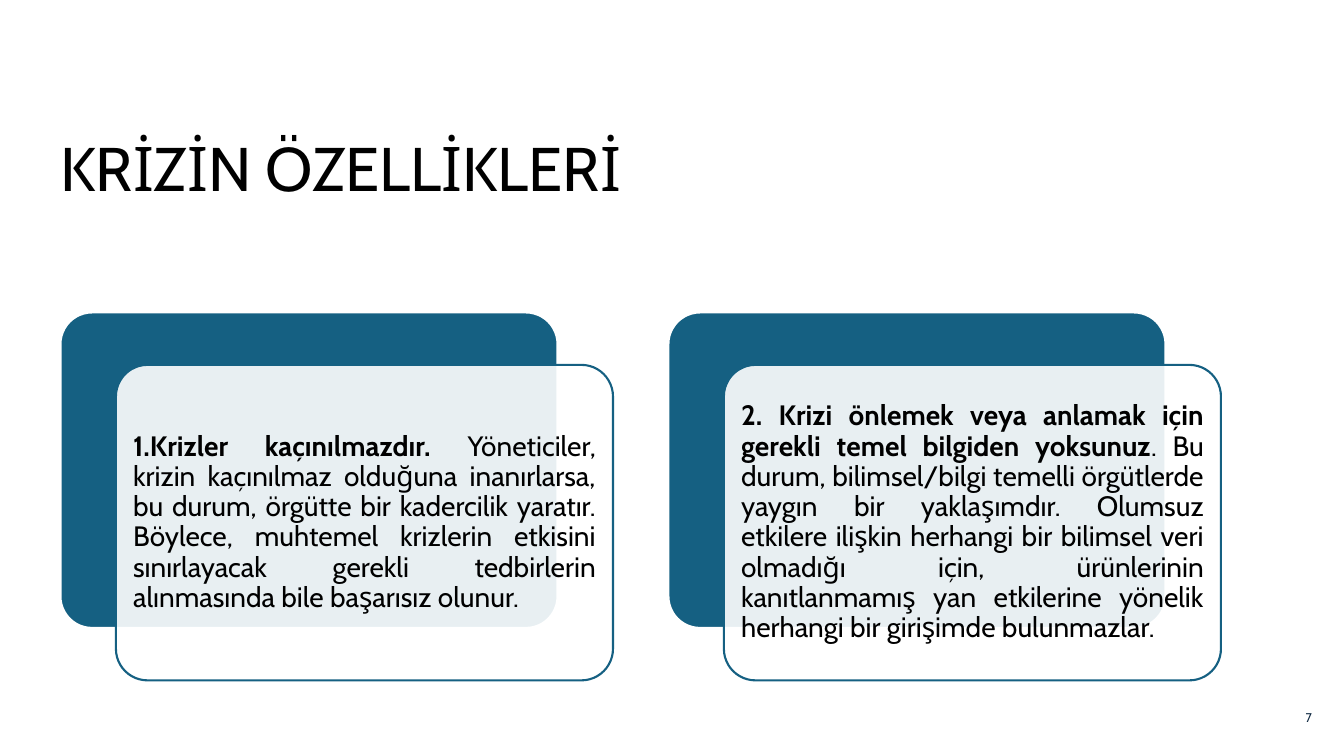
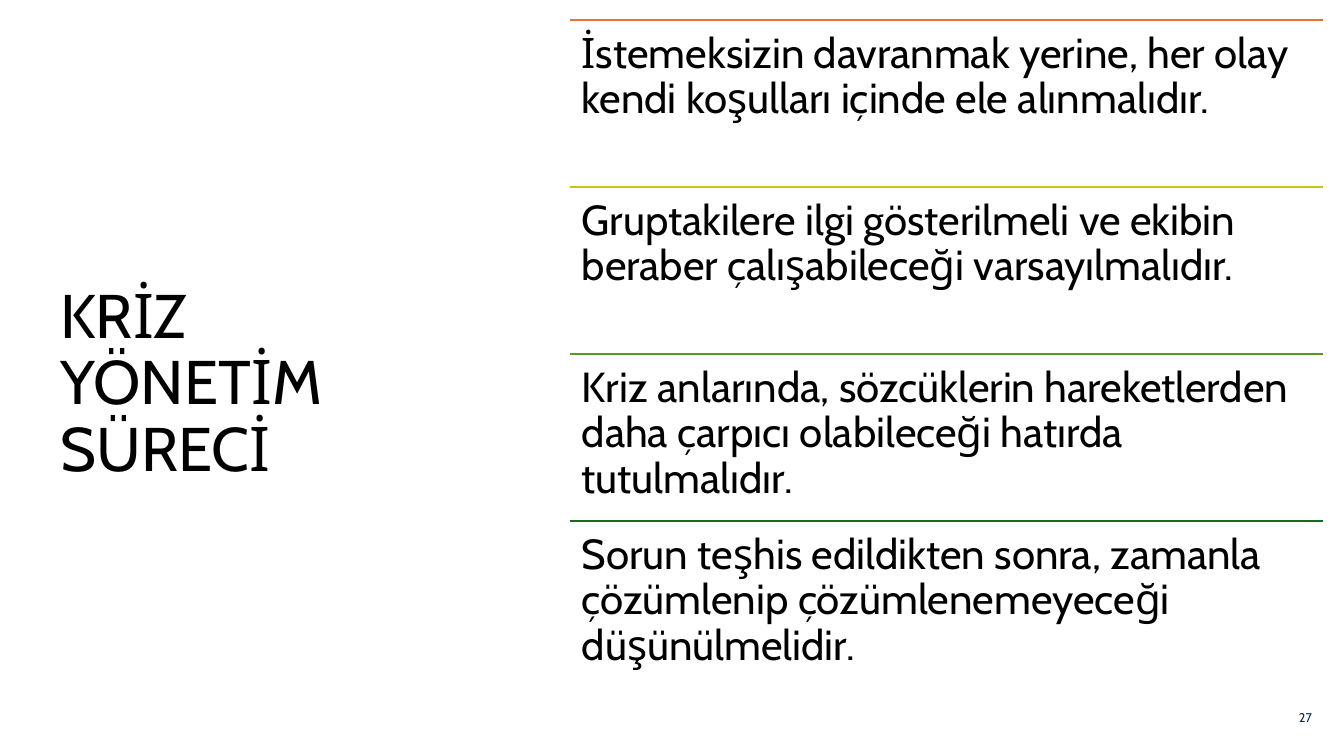
"""Build two slides on the features of a crisis and the crisis management process."""
from dataclasses import dataclass
from typing import NamedTuple

from lxml.etree import SubElement
from pptx import Presentation
from pptx.dml.color import RGBColor
from pptx.enum.shapes import MSO_CONNECTOR, MSO_SHAPE
from pptx.enum.text import MSO_ANCHOR as Anchor, PP_ALIGN as Align
from pptx.oxml.ns import qn
from pptx.util import Inches, Pt


@dataclass(frozen=True)
class Theme:
    """Colours, type sizes and line width shared by the slides."""
    font: str = "Cabin"
    text: str = "000000"
    number: str = "0E2841"
    panel: str = "156082"
    paper: str = "FFFFFF"
    title_size: int = 44
    card_size: int = 20
    row_size: int = 30
    number_size: int = 9
    line_width: float = 1.5
    line_spacing: float = 0.9


class Box(NamedTuple):
    """A rectangle in inches."""
    left: float
    top: float
    width: float
    height: float

    def shifted(self, right: float, down: float) -> "Box":
        """Return the rectangle moved by the given distances."""
        return Box(self.left + right, self.top + down, self.width, self.height)

    def inset(self, margin: float) -> "Box":
        """Return the rectangle shrunk on every side."""
        return Box(self.left + margin, self.top + margin,
                   self.width - 2 * margin, self.height - 2 * margin)

    def lengths(self) -> tuple:
        """Return the rectangle as slide lengths."""
        return tuple(Inches(value) for value in self)


class TextStyle(NamedTuple):
    """The look of a text block."""
    size: int
    color: str
    anchor: Anchor = Anchor.MIDDLE
    align: Align = Align.LEFT
    spacing: float = 1.0
    margins: tuple = (0.1, 0.05)


class Run(NamedTuple):
    """A piece of text with one weight."""
    text: str
    bold: bool = False


class Card(NamedTuple):
    """A bold statement and its explanation."""
    statement: str
    explanation: str


class Row(NamedTuple):
    """A sentence under a coloured rule."""
    color: str
    sentence: str


THEME = Theme()
SLIDE_WIDTH, SLIDE_HEIGHT = 13.33, 7.5
WIDE_TITLE = Box(0.5, 0.79, 11.75, 1.83)
SIDE_TITLE = Box(0.5, 0.79, 4.08, 6.05)
NUMBER_BOX = Box(12.24, 6.92, 0.87, 0.4)
FIRST_CARD = Box(0.6, 3.1, 4.93, 3.13)
CARD_PITCH = 6.03
CARD_OFFSET = (0.55, 0.52)
CARD_MARGIN = 0.09
CARD_OPACITY = 90
FIRST_ROW = Box(5.65, 0.2, 7.47, 1.66)
ROW_PITCH = 1.657

TITLE_STYLE = TextStyle(THEME.title_size, THEME.text, spacing=THEME.line_spacing)
NUMBER_STYLE = TextStyle(THEME.number_size, THEME.number, align=Align.RIGHT)
CARD_STYLE = TextStyle(THEME.card_size, THEME.text, align=Align.JUSTIFY,
                       spacing=THEME.line_spacing, margins=(0.08, 0.08))
ROW_STYLE = TextStyle(THEME.row_size, THEME.text, anchor=Anchor.TOP,
                      spacing=THEME.line_spacing, margins=(0.12, 0.12))

CARDS = (
    Card("1.Krizler kaçınılmazdır. ",
         "Yöneticiler, krizin kaçınılmaz olduğuna inanırlarsa, bu durum, örgütte bir "
         "kadercilik yaratır. Böylece, muhtemel krizlerin etkisini sınırlayacak gerekli "
         "tedbirlerin alınmasında bile başarısız olunur."),
    Card("2. Krizi önlemek veya anlamak için gerekli temel bilgiden yoksunuz",
         ". Bu durum, bilimsel/bilgi temelli örgütlerde yaygın bir yaklaşımdır. Olumsuz "
         "etkilere ilişkin herhangi bir bilimsel veri olmadığı için, ürünlerinin "
         "kanıtlanmamış yan etkilerine yönelik herhangi bir girişimde bulunmazlar."),
)
ROWS = (
    Row("E97132", "İstemeksizin davranmak yerine, her olay kendi koşulları içinde "
                  "ele alınmalıdır."),
    Row("CBC11E", "Gruptakilere ilgi gösterilmeli ve ekibin beraber çalışabileceği "
                  "varsayılmalıdır."),
    Row("56991D", "Kriz anlarında, sözcüklerin hareketlerden daha çarpıcı olabileceği "
                  "hatırda tutulmalıdır."),
    Row("196B24", "Sorun teşhis edildikten sonra, zamanla çözümlenip "
                  "çözümlenemeyeceği düşünülmelidir."),
)


def add_text(slide, box: Box, style: TextStyle, *runs: Run) -> None:
    """Add a wrapped one-paragraph text box."""
    frame = slide.shapes.add_textbox(*box.lengths()).text_frame
    frame.word_wrap = True
    frame.vertical_anchor = style.anchor
    across, down = (Inches(margin) for margin in style.margins)
    frame.margin_left = frame.margin_right = across
    frame.margin_top = frame.margin_bottom = down
    paragraph = frame.paragraphs[0]
    paragraph.alignment = style.align
    paragraph.line_spacing = style.spacing
    for piece in runs:
        run = paragraph.add_run()
        run.text = piece.text
        run.font.name = THEME.font
        run.font.size = Pt(style.size)
        run.font.bold = piece.bold
        run.font.color.rgb = RGBColor.from_string(style.color)


def add_panel(slide, box: Box, fill: str, line: str, opacity: int = 100) -> None:
    """Add a rounded panel, see-through when its opacity is below 100."""
    shape = slide.shapes.add_shape(MSO_SHAPE.ROUNDED_RECTANGLE, *box.lengths())
    shape.shadow.inherit = False
    shape.adjustments[0] = 0.1
    shape.fill.solid()
    shape.fill.fore_color.rgb = RGBColor.from_string(fill)
    shape.line.color.rgb = RGBColor.from_string(line)
    shape.line.width = Pt(THEME.line_width)
    if opacity < 100:
        color = shape.fill._xPr.find(qn("a:solidFill"))[0]
        SubElement(color, qn("a:alpha")).set("val", str(opacity * 1000))


def add_rule(slide, box: Box, color: str) -> None:
    """Draw a line along the top edge of a rectangle."""
    left, top, width, _ = box.lengths()
    rule = slide.shapes.add_connector(MSO_CONNECTOR.STRAIGHT, left, top, left + width, top)
    rule.line.color.rgb = RGBColor.from_string(color)
    rule.line.width = Pt(THEME.line_width)
    SubElement(rule._element.spPr, qn("a:effectLst"))


def add_card(slide, box: Box, card: Card) -> None:
    """Add a dark panel with an overlapping text card."""
    front = box.shifted(*CARD_OFFSET)
    add_panel(slide, box, THEME.panel, THEME.paper)
    add_panel(slide, front, THEME.paper, THEME.panel, CARD_OPACITY)
    add_text(slide, front.inset(CARD_MARGIN), CARD_STYLE,
             Run(card.statement, bold=True), Run(card.explanation))


def add_titled_slide(presentation, title: str, title_box: Box, number: int):
    """Add a blank slide with a title and a page number."""
    slide = presentation.slides.add_slide(presentation.slide_layouts[6])
    slide.background.fill.solid()
    slide.background.fill.fore_color.rgb = RGBColor.from_string(THEME.paper)
    add_text(slide, title_box, TITLE_STYLE, Run(title))
    add_text(slide, NUMBER_BOX, NUMBER_STYLE, Run(str(number)))
    return slide


def build_features(presentation) -> None:
    """Build the slide of feature cards."""
    slide = add_titled_slide(presentation, "KRİZİN ÖZELLİKLERİ", WIDE_TITLE, 7)
    for column, card in enumerate(CARDS):
        add_card(slide, FIRST_CARD.shifted(column * CARD_PITCH, 0), card)


def build_process(presentation) -> None:
    """Build the slide of ruled sentences."""
    slide = add_titled_slide(presentation, "KRİZ YÖNETİM SÜRECİ", SIDE_TITLE, 27)
    for index, row in enumerate(ROWS):
        box = FIRST_ROW.shifted(0, index * ROW_PITCH)
        add_rule(slide, box, row.color)
        add_text(slide, box, ROW_STYLE, Run(row.sentence))


def main() -> None:
    """Build and save the presentation."""
    presentation = Presentation()
    presentation.slide_width = Inches(SLIDE_WIDTH)
    presentation.slide_height = Inches(SLIDE_HEIGHT)
    build_features(presentation)
    build_process(presentation)
    presentation.save("out.pptx")


if __name__ == "__main__":
    main()
